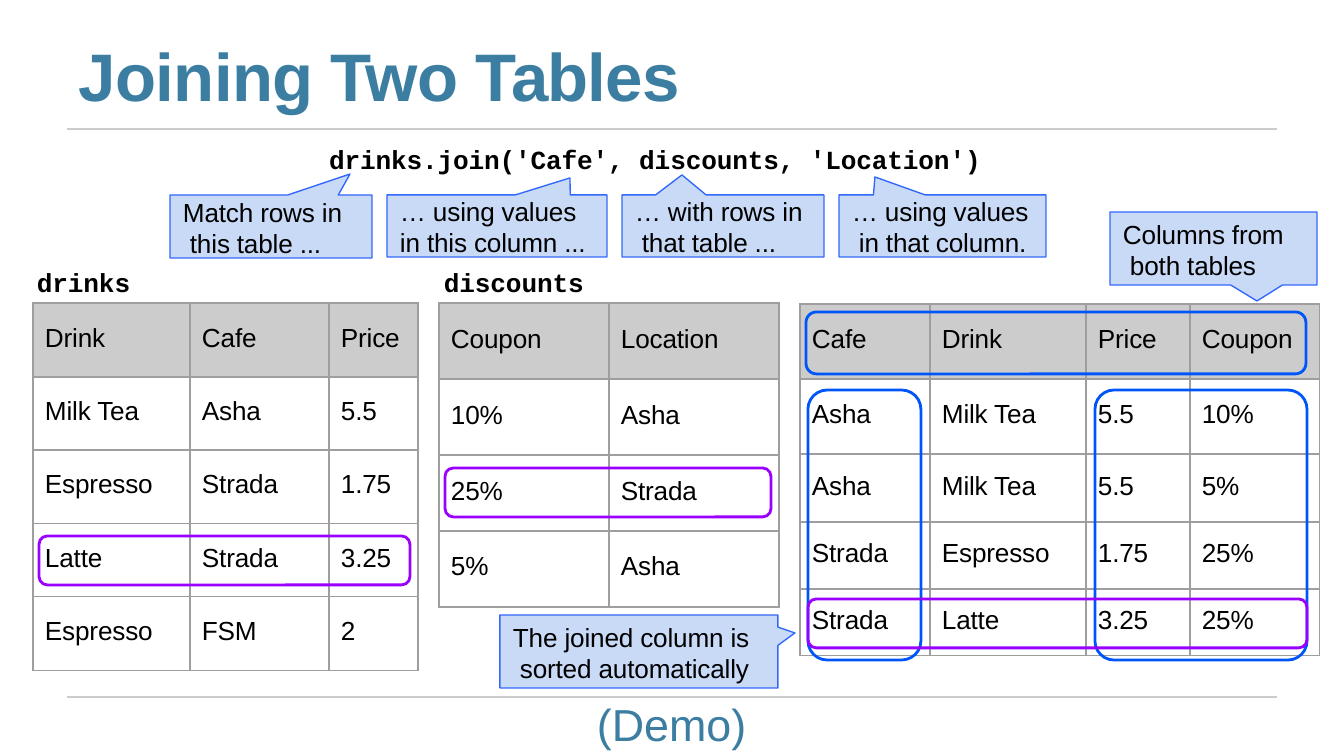
from dataclasses import dataclass

from lxml.etree import SubElement
from pptx import Presentation
from pptx.dml.color import RGBColor as Rgb
from pptx.enum.shapes import MSO_CONNECTOR as Wire, MSO_SHAPE as Kind
from pptx.enum.text import MSO_ANCHOR as Anchor
from pptx.oxml.ns import qn
from pptx.util import Pt

SCALE = 914400 / 134.4  # EMU in one px
SIZE = 1344, 756


@dataclass(frozen=True)
class Theme:
    sans: str = "Arial"
    mono: str = "Courier New"
    ink: str = "000000"
    teal: str = "3B7EA1"
    head: str = "CCCCCC"
    rule: str = "CCCCCC"
    grid: str = "9E9E9E"
    note: str = "C9DAF7"
    edge: str = "3368FC"
    blue: str = "0055FA"
    purple: str = "9900FF"
    title: float = 36
    demo: float = 24
    body: float = 14
    lead: float = 16.5
    thin: float = 0.75
    thick: float = 1.5


T = Theme()

# text, box, font, size, colour, bold, letter spacing in points
LABELS = [
    ("Joining Two Tables", (79, 34, 640, 82), T.sans, T.title, T.teal, True, -0.4),
    ("drinks.join('Cafe', discounts, 'Location')", (329, 143, 680, 32),
     T.mono, T.body, T.ink, True, -0.1),
    ("drinks", (37, 266, 110, 32), T.mono, T.body, T.ink, True, -0.1),
    ("discounts", (444, 266, 150, 32), T.mono, T.body, T.ink, True, -0.1),
    ("(Demo)", (597, 697, 165, 56), T.sans, T.demo, T.teal, False, 0),
]

RULES = [129, 697]
RULE_ENDS = 67, 1277

# corner, column widths, row heights, rows
TABLES = [
    ((33, 303), [157, 139, 89], [74, 73, 74, 73, 74], [
        ("Drink", "Cafe", "Price"),
        ("Milk Tea", "Asha", "5.5"),
        ("Espresso", "Strada", "1.75"),
        ("Latte", "Strada", "3.25"),
        ("Espresso", "FSM", "2"),
    ]),
    ((439, 303), [170, 170], [76] * 4, [
        ("Coupon", "Location"),
        ("10%", "Asha"),
        ("25%", "Strada"),
        ("5%", "Asha"),
    ]),
    ((800, 304), [130, 156, 104, 130], [75, 75, 68, 67, 67], [
        ("Cafe", "Drink", "Price", "Coupon"),
        ("Asha", "Milk Tea", "5.5", "10%"),
        ("Asha", "Milk Tea", "5.5", "5%"),
        ("Strada", "Espresso", "1.75", "25%"),
        ("Strada", "Latte", "3.25", "25%"),
    ]),
]

# lines, box, tip of the wedge, indent of the second line
NOTES = [
    (("Match rows in", "this table ..."), (170, 195, 202, 63), (350, 174), 7),
    (("… using values", "in this column ..."), (387, 195, 220, 62), (570, 178), 0),
    (("… with rows in", "that table ..."), (622, 195, 202, 62), (682, 175), 7),
    (("… using values", "in that column."), (839, 195, 207, 62), (875, 177), 7),
    (("The joined column is", "sorted automatically"), (500, 615, 278, 73), (795, 633), 7),
    (("Columns from", "both tables"), (1110, 212, 207, 73), (1257, 301), 7),
]

# box, colour, corner radius as a share of the short side
FRAMES = [
    ((39, 536, 371, 49), T.purple, 0.17),
    ((445, 468, 326, 49), T.purple, 0.17),
    ((806, 312, 500, 62), T.blue, 0.17),
    ((808, 390, 113, 270), T.blue, 0.17),
    ((1095, 390, 212, 270), T.blue, 0.09),
    ((808, 599, 499, 49), T.purple, 0.17),
]


def px(*nums):
    return [round(n * SCALE) for n in nums]


def add_run(para, text, font=T.sans, size=T.body, color=T.ink, bold=False, gap=-0.1):
    run = para.add_run()
    run.text = text
    run.font.name, run.font.size, run.font.bold = font, Pt(size), bold
    run.font.color.rgb = Rgb.from_string(color)
    run._r.get_or_add_rPr().set("spc", str(round(gap * 100)))


def set_pads(item, left=0, top=0, right=0, bottom=0):
    (item.margin_left, item.margin_top,
     item.margin_right, item.margin_bottom) = px(left, top, right, bottom)


def set_line(shape, color, width):
    shape.line.color.rgb = Rgb.from_string(color)
    shape.line.width = Pt(width)


def add_label(shapes, text, box, *style):
    frame = shapes.add_textbox(*px(*box)).text_frame
    frame.word_wrap = True
    set_pads(frame)
    add_run(frame.paragraphs[0], text, *style)


def add_rule(shapes, y):
    left, right = RULE_ENDS
    rule = shapes.add_connector(Wire.STRAIGHT, *px(left, y, right, y))
    set_line(rule, T.rule, T.thin)
    SubElement(rule._element.spPr, qn("a:effectLst"))


def add_borders(cell):
    props = cell._tc.get_or_add_tcPr()
    for n, side in enumerate(("lnL", "lnR", "lnT", "lnB")):
        line = props.makeelement(qn("a:" + side), {"w": str(Pt(T.thin))})
        fill = SubElement(line, qn("a:solidFill"))
        SubElement(fill, qn("a:srgbClr"), val=T.grid)
        props.insert(n, line)


def add_grid(shapes, corner, cols, highs, rows):
    box = px(*corner, sum(cols), sum(highs))
    table = shapes.add_table(len(rows), len(cols), *box).table
    table.horz_banding = False
    for col, width in zip(table.columns, px(*cols)):
        col.width = width
    for r, (row, high) in enumerate(zip(rows, px(*highs))):
        table.rows[r].height = high
        for c, text in enumerate(row):
            cell = table.cell(r, c)
            cell.vertical_anchor = Anchor.MIDDLE
            set_pads(cell, left=12, bottom=4)
            if r == 0:
                cell.fill.solid()
                cell.fill.fore_color.rgb = Rgb.from_string(T.head)
            else:
                cell.fill.background()
            add_borders(cell)
            add_run(cell.text_frame.paragraphs[0], text)


def add_note(shapes, lines, box, tip, hang):
    x, y, w, h = box
    note = shapes.add_shape(Kind.RECTANGULAR_CALLOUT, *px(*box))
    note.shadow.inherit = False
    note.adjustments[0] = (tip[0] - x - w / 2) / w
    note.adjustments[1] = (tip[1] - y - h / 2) / h
    note.fill.solid()
    note.fill.fore_color.rgb = Rgb.from_string(T.note)
    set_line(note, T.edge, T.thin)
    frame = note.text_frame
    frame.word_wrap = True
    frame.vertical_anchor = Anchor.MIDDLE
    set_pads(frame, left=13, top=2)
    para = frame.paragraphs[0]
    para.line_spacing = Pt(T.lead)
    props = para._p.get_or_add_pPr()
    for name, value in zip(("marL", "indent"), px(hang, -hang)):
        props.set(name, str(value))
    props.set("algn", "l")
    add_run(para, lines[0])
    para.add_line_break()
    add_run(para, lines[1])


def add_frame(shapes, box, color, bend):
    frame = shapes.add_shape(Kind.ROUNDED_RECTANGLE, *px(*box))
    frame.shadow.inherit = False
    frame.adjustments[0] = bend
    frame.fill.background()
    set_line(frame, color, T.thick)


def main():
    deck = Presentation()
    deck.slide_width, deck.slide_height = px(*SIZE)
    shapes = deck.slides.add_slide(deck.slide_layouts[6]).shapes
    for y in RULES:
        add_rule(shapes, y)
    for add, items in ((add_label, LABELS), (add_grid, TABLES),
                       (add_note, NOTES), (add_frame, FRAMES)):
        for item in items:
            add(shapes, *item)
    deck.save("out.pptx")


if __name__ == "__main__":
    main()
